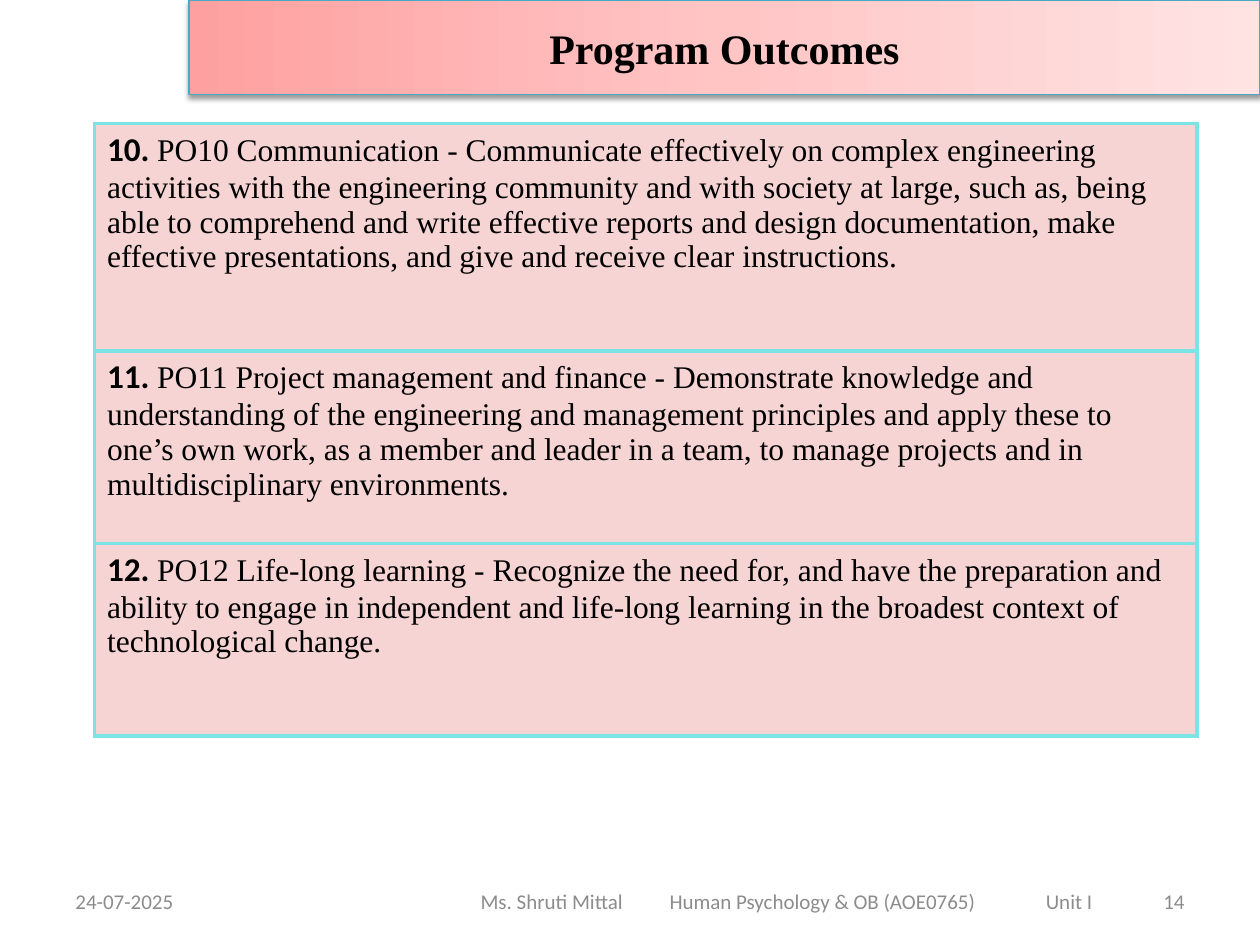
from copy import deepcopy
from typing import NamedTuple

from lxml.etree import SubElement as Sub
from pptx import Presentation
from pptx.dml.color import RGBColor as RGB
from pptx.enum.text import MSO_ANCHOR as Anchor, MSO_AUTO_SIZE as Fit, PP_ALIGN as Align
from pptx.oxml.ns import qn
from pptx.util import Pt

BLACK = RGB(0x00, 0x00, 0x00)
GREY = RGB(0x8C, 0x8C, 0x8C)
TEAL = RGB(0x46, 0xAA, 0xC5)
AQUA = RGB(0x7B, 0xE5, 0xE5)
ROSE = RGB(0xDF, 0x55, 0x56)
BLEND = ((0, RGB(0xFF, 0xA0, 0xA0)), (0.5, RGB(0xFF, 0xC5, 0xC5)), (1, RGB(0xFF, 0xE3, 0xE3)))
SERIF, SANS = "Times New Roman", "Calibri"


class Goal(NamedTuple):
    num: str
    text: str
    high: float


class Note(NamedTuple):
    text: str
    left: float
    width: float
    align: Align
    inset: float = 7.2
    tabs: tuple = ()


GOALS = (
    Goal("10. ", "PO10 Communication - Communicate effectively on complex engineering "
         "activities with the engineering community and with society at large, such as, being "
         "able to comprehend and write effective reports and design documentation, make "
         "effective presentations, and give and receive clear instructions.", 130),
    Goal("11. ", "PO11 Project management and finance - Demonstrate knowledge and "
         "understanding of the engineering and management principles and apply these to "
         "one’s own work, as a member and leader in a team, to manage projects and in "
         "multidisciplinary environments.", 110),
    Goal("12. ", "PO12 Life-long learning - Recognize the need for, and have the preparation and "
         "ability to engage in independent and life-long learning in the broadest context of "
         "technological change.", 110),
)
NOTES = (
    Note("24-07-2025", 36, 168, Align.LEFT),
    Note("Ms. Shruti Mittal\tHuman Psychology & OB (AOE0765)\tUnit I",
         246, 408, Align.LEFT, 28.6, (108, 323)),
    Note("14", 516, 168, Align.RIGHT),
)


def add_run(para, text: str, face: str, size: float, color: RGB, bold: bool = False) -> None:
    run = para.add_run()
    run.text = text
    font = run.font
    font.name, font.size, font.bold = face, Pt(size), bold
    font.color.rgb = color


def add_color(node, color: RGB, alpha: int = 100) -> None:
    tint = Sub(node, qn("a:srgbClr"), val=str(color))
    if alpha < 100:
        Sub(tint, qn("a:alpha"), val=str(alpha * 1000))


def draw_title(slide) -> None:
    title = slide.shapes.title
    title.left, title.top, title.width, title.height = Pt(108), Pt(0), Pt(612), Pt(54)
    # Three-stop gradient
    fill = title.fill
    fill.gradient()
    fill.gradient_angle = 0
    props = title._element.spPr
    stops = props.find(qn("a:gradFill")).find(qn("a:gsLst"))
    stops.append(deepcopy(stops[0]))
    for stop, (place, color) in zip(fill.gradient_stops, BLEND):
        stop.position, stop.color.rgb = place, color
    title.line.color.rgb, title.line.width = TEAL, Pt(0.75)
    # Soft shadow below
    shade = Sub(Sub(props, qn("a:effectLst")), qn("a:outerShdw"), blurRad=str(Pt(3.1)),
                dist=str(Pt(1.6)), dir="5400000", rotWithShape="0")
    add_color(shade, BLACK, 38)
    frame = title.text_frame
    frame.auto_size, frame.vertical_anchor = Fit.NONE, Anchor.MIDDLE
    para = frame.paragraphs[0]
    para.alignment = Align.CENTER
    add_run(para, "Program Outcomes", SERIF, 24, BLACK, True)


def style_cell(cell) -> None:
    props = cell._tc.get_or_add_tcPr()
    for side in ("lnL", "lnR", "lnT", "lnB"):
        edge = Sub(props, qn(f"a:{side}"), w=str(Pt(2.25)))
        add_color(Sub(edge, qn("a:solidFill")), AQUA)
    add_color(Sub(props, qn("a:solidFill")), ROSE, 25)


def draw_table(slide, goals: tuple[Goal, ...]) -> None:
    high = sum(goal.high for goal in goals)
    table = slide.shapes.add_table(len(goals), 1, Pt(54), Pt(70.5), Pt(630), Pt(high)).table
    table.first_row = table.horz_banding = False
    for row, goal in zip(table.rows, goals):
        row.height = Pt(goal.high)
        cell = row.cells[0]
        style_cell(cell)
        para = cell.text_frame.paragraphs[0]
        add_run(para, goal.num, SANS, 19, BLACK, True)
        add_run(para, goal.text, SERIF, 18, BLACK)


def draw_note(slide, note: Note) -> None:
    box = slide.shapes.add_textbox(Pt(note.left), Pt(500.5), Pt(note.width), Pt(28.75))
    frame = box.text_frame
    frame.word_wrap, frame.vertical_anchor = True, Anchor.MIDDLE
    frame.margin_left = Pt(note.inset)
    para = frame.paragraphs[0]
    if note.tabs:
        stops = Sub(para._p.get_or_add_pPr(), qn("a:tabLst"))
        for tab in note.tabs:
            Sub(stops, qn("a:tab"), pos=str(Pt(tab)), algn="l")
    para.alignment = note.align
    add_run(para, note.text, SANS, 12, GREY)


def main() -> None:
    deck = Presentation()
    deck.slide_width, deck.slide_height = Pt(720), Pt(540)
    slide = deck.slides.add_slide(deck.slide_layouts[5])
    # Footer
    for note in NOTES:
        draw_note(slide, note)
    # Title band and outcomes
    draw_title(slide)
    draw_table(slide, GOALS)
    deck.save("out.pptx")


if __name__ == "__main__":
    main()
